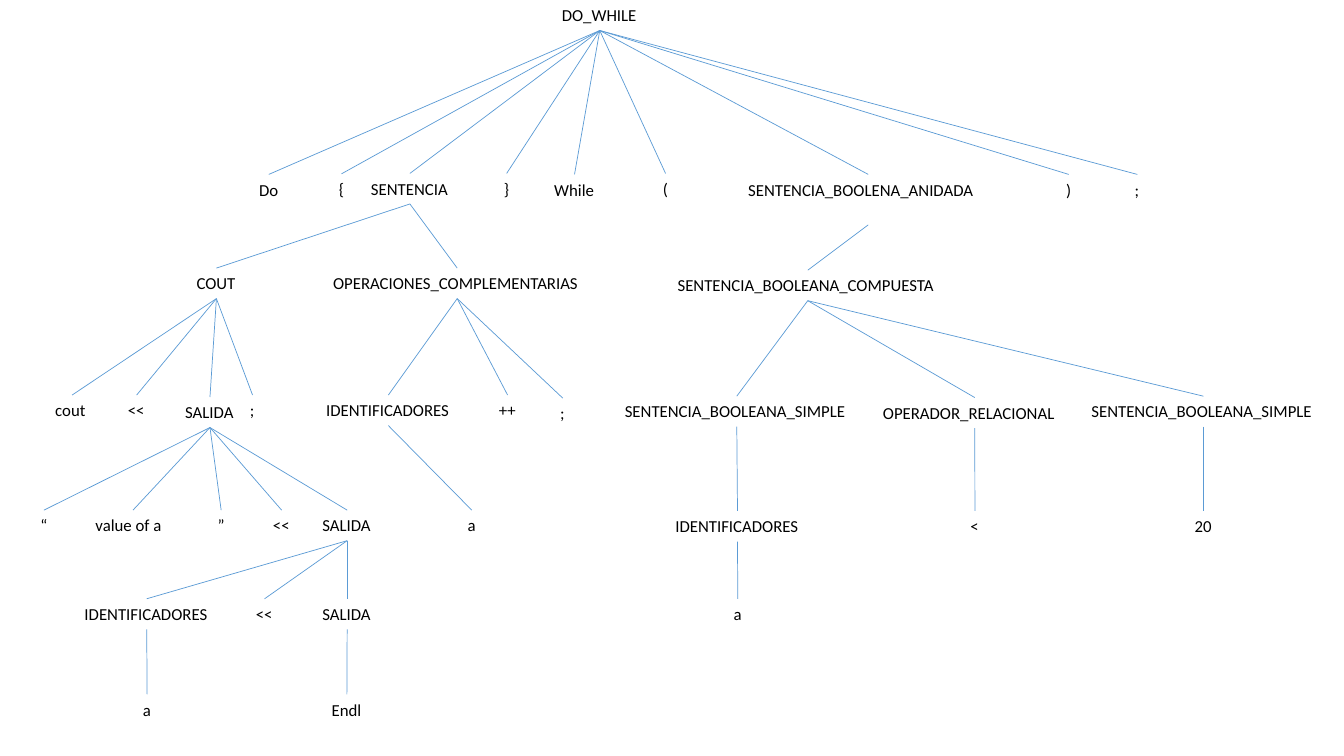
from pptx import Presentation
from pptx.dml.color import RGBColor
from pptx.enum.shapes import MSO_CONNECTOR
from pptx.enum.text import MSO_AUTO_SIZE
from pptx.oxml.ns import qn
from pptx.util import Pt
from lxml import etree

STRAIGHT = MSO_CONNECTOR.STRAIGHT
GROW = MSO_AUTO_SIZE.SHAPE_TO_FIT_TEXT
COLORS = {"text": "000000", "branch": "5B9BD5"}
FONT = "Calibri"
TOP_SITE, BOTTOM_SITE = 0, 2

# Label sizes in points; labels not listed are single punctuation marks
LINE_H, TALL_H, MARK_W = 21.8, 36, 18
WIDTHS = {
    "DO_WHILE": 68.4, "Do": 28.1, "SENTENCIA": 69.8, "While": 43.2,
    "SENTENCIA_BOOLENA_ANIDADA": 185.8, "COUT": 42.5,
    "OPERACIONES_COMPLEMENTARIAS": 191.5,
    "SENTENCIA_BOOLEANA_COMPUESTA": 200.2,
    "SENTENCIA_BOOLEANA_SIMPLE": 174.2, "OPERADOR_RELACIONAL": 145.4,
    "IDENTIFICADORES": 103, "SALIDA": 49.7, "cout": 38.2, "<<": 26.6,
    "++": 26.6, "“": 19.4, "”": 19.4, "value of a": 67.7, "a": 20.2,
    "<": 20.9, "20": 26.6, "Endl": 36,
}
WRAPPED = {"SENTENCIA_BOOLENA_ANIDADA", "OPERADOR_RELACIONAL", "cout", "value of a"}
TALL = {"SENTENCIA_BOOLENA_ANIDADA"}

# Parse tree: (label, centre x, top, children)
COUT = ("COUT", 154.6, 191.5, [
    ("cout", 51.5, 282.2, []),
    ("<<", 97.6, 282.2, []),
    ("SALIDA", 150, 283.6, [
        ("“", 31.4, 364.4, []),
        ("value of a", 95, 364.4, []),
        ("”", 158, 364.4, []),
        ("<<", 201.2, 364.4, []),
        ("SALIDA", 248, 364.4, [
            ("IDENTIFICADORES", 104.8, 427.7, [("a", 105.1, 496, [])]),
            ("<<", 189, 427.7, []),
            ("SALIDA", 248, 427.7, [("Endl", 247.8, 496, [])]),
        ]),
    ]),
    (";", 180.4, 282.2, []),
])
OPERATIONS = ("OPERACIONES_COMPLEMENTARIAS", 326.6, 191.5, [
    ("IDENTIFICADORES", 277.4, 282.2, [("a", 337, 364.4, [])]),
    ("++", 362.6, 282.2, []),
    (";", 402, 284.4, []),
])
CONDITION = ("SENTENCIA_BOOLEANA_COMPUESTA", 577, 193, [
    ("SENTENCIA_BOOLEANA_SIMPLE", 526.3, 283, [
        ("IDENTIFICADORES", 526.8, 365, [("a", 527, 427.7, [])]),
    ]),
    ("OPERADOR_RELACIONAL", 696.3, 284, [("<", 696.4, 365, [])]),
    ("SENTENCIA_BOOLEANA_SIMPLE", 859.6, 283, [("20", 859.6, 365, [])]),
])
DO_WHILE = ("DO_WHILE", 428.4, 0, [
    ("Do", 192, 124.6, []),
    ("{", 243.9, 124.2, []),
    ("SENTENCIA", 292.8, 123.9, [COUT, OPERATIONS]),
    ("}", 361.9, 123.9, []),
    ("While", 410.4, 124.6, []),
    ("(", 475.4, 123.9, []),
    ("SENTENCIA_BOOLENA_ANIDADA", 620.2, 124.6, [CONDITION]),
    (")", 763.4, 124.6, []),
    (";", 812.4, 124.6, []),
])


def add_label(s, text, center, top):
    width = WIDTHS.get(text, MARK_W)
    height = TALL_H if text in TALL else LINE_H
    sp = s.shapes.add_textbox(Pt(center - width / 2), Pt(top), Pt(width), Pt(height))
    tf = sp.text_frame
    tf.word_wrap = text in WRAPPED
    tf.auto_size = GROW
    r = tf.paragraphs[0].add_run()
    r.text = text
    r.font.name = FONT
    r.font.size = Pt(12)
    r.font.color.rgb = RGBColor.from_string(COLORS["text"])
    return sp


def add_branch(s, parent, child):
    line = s.shapes.add_connector(STRAIGHT, 0, 0, 0, 0)
    line.begin_connect(parent, BOTTOM_SITE)
    line.end_connect(child, TOP_SITE)
    line.line.color.rgb = RGBColor.from_string(COLORS["branch"])
    line.line.width = Pt(0.5)
    etree.SubElement(line._element.spPr, qn("a:effectLst"))


def add_tree(s, node):
    text, center, top, children = node
    sp = add_label(s, text, center, top)
    for child in children:
        add_branch(s, sp, add_tree(s, child))
    return sp


def main():
    prs = Presentation()
    prs.slide_width, prs.slide_height = Pt(960), Pt(540)
    s = prs.slides.add_slide(prs.slide_layouts[6])
    add_tree(s, DO_WHILE)
    prs.save("out.pptx")


main()
